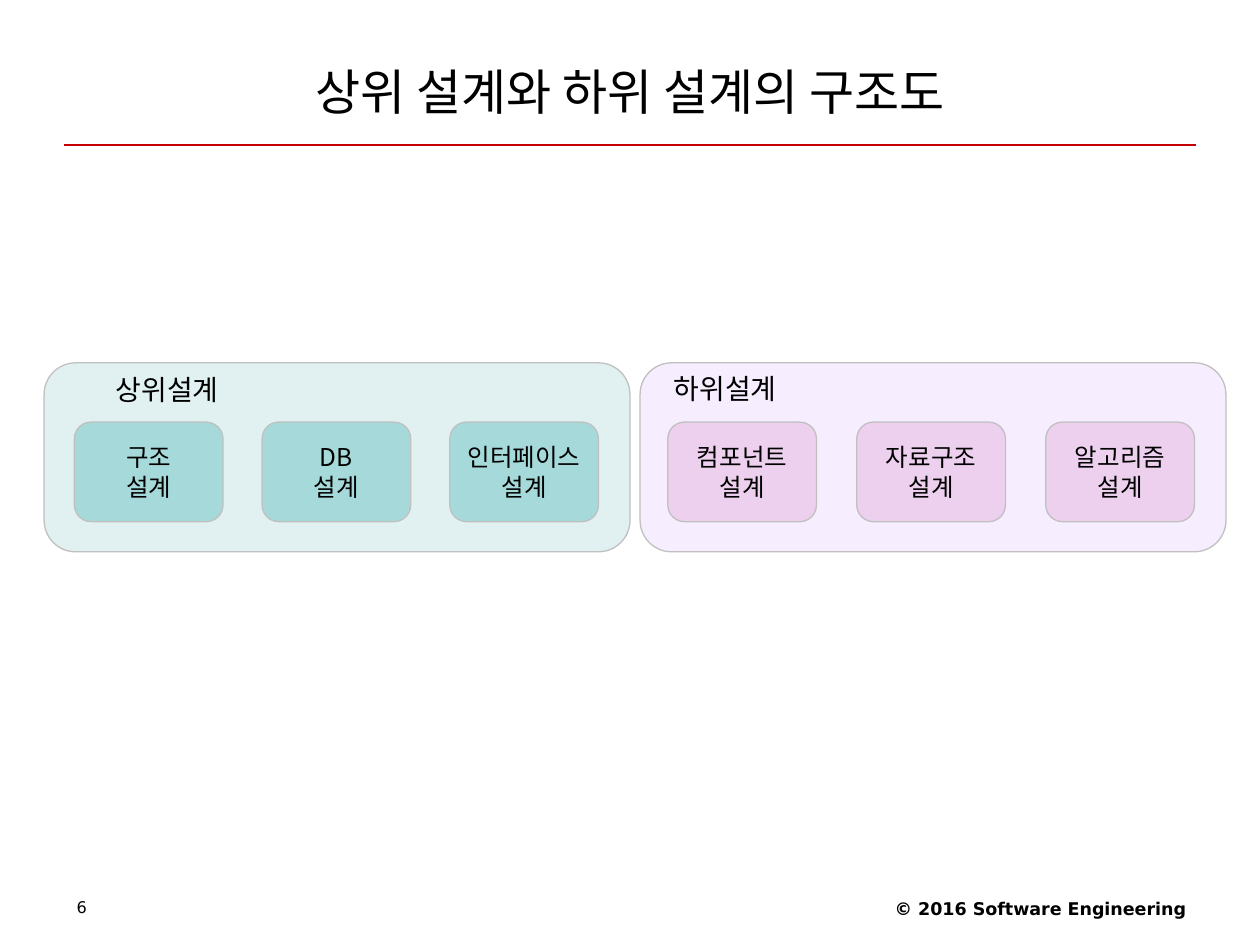
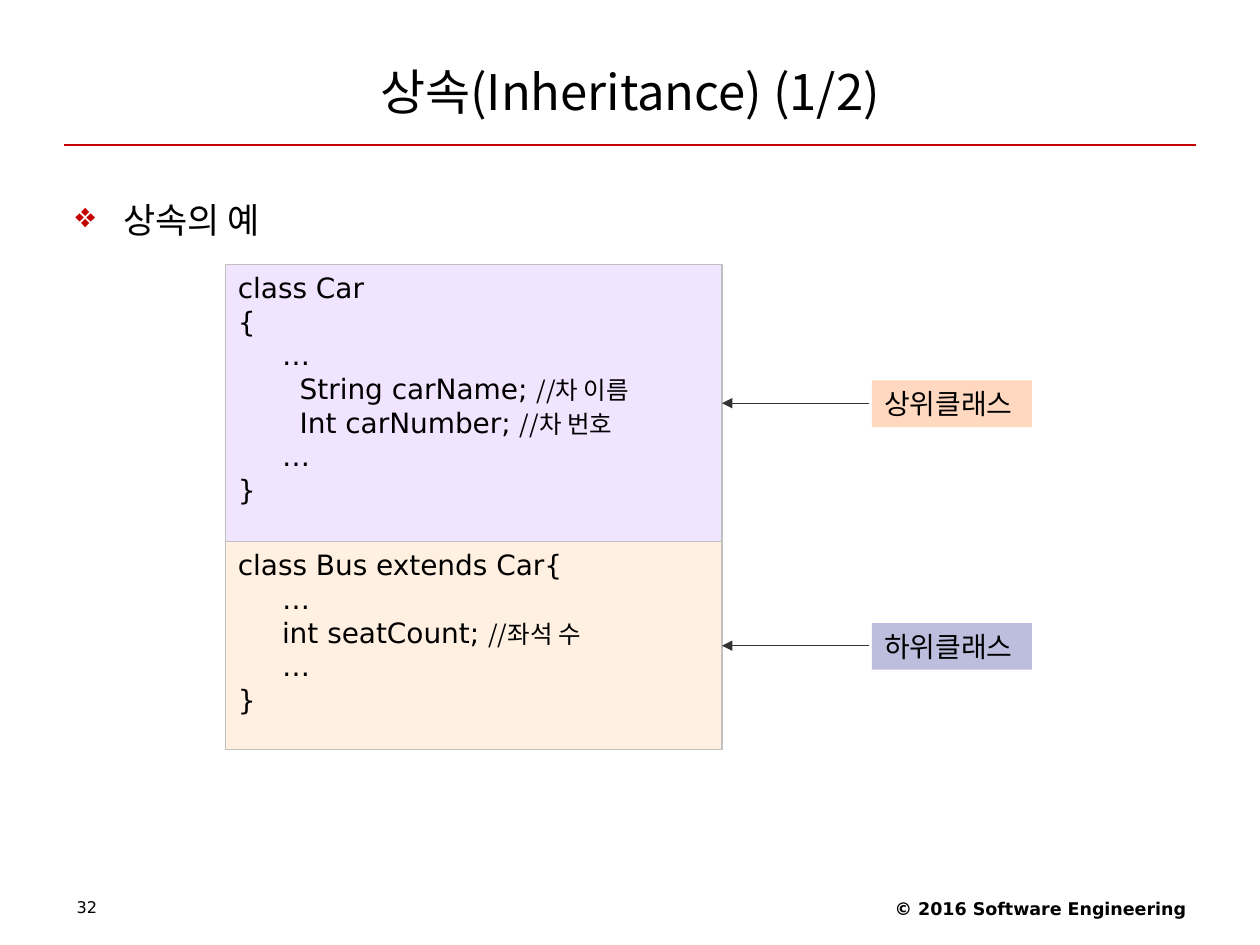
"""Builds two software engineering lecture slides."""
from lxml import etree
from pptx import Presentation
from pptx import util as u
from pptx.dml.color import RGBColor
from pptx.enum import shapes, text
from pptx.oxml.ns import qn

KOREAN, LATIN = "Noto Sans CJK KR", "DejaVu Sans"
BLACK, RED, GREY, DARK = "000000", "C40000", "C0C0C0", "333333"
RECT, ROUND = shapes.MSO_SHAPE.RECTANGLE, shapes.MSO_SHAPE.ROUNDED_RECTANGLE
LEFT, CENTER, RIGHT = text.PP_ALIGN.LEFT, text.PP_ALIGN.CENTER, text.PP_ALIGN.RIGHT
TOP, MIDDLE = text.MSO_ANCHOR.TOP, text.MSO_ANCHOR.MIDDLE


def rgb(color):
    return RGBColor.from_string(color)


def sub(parent, tag, **attrs):
    return etree.SubElement(parent, qn(tag), attrs)


class Deck:
    def __init__(self):
        self.prs = Presentation()
        self.prs.slide_width, self.prs.slide_height = u.Inches(10), u.Inches(7.5)
        self.s = None

    def font(self, f, size, name=KOREAN, bold=False):
        f.size, f.name, f.bold = u.Pt(size), name, bold
        f.color.rgb = rgb(BLACK)
        sub(f._element, "a:ea", typeface=KOREAN)

    def set_text(self, tf, lines, size, name=KOREAN, align=LEFT, anchor=TOP, bold=False):
        tf.word_wrap, tf.vertical_anchor = True, anchor
        for i, line in enumerate(lines):
            p = tf.paragraphs[0] if i == 0 else tf.add_paragraph()
            p.text, p.alignment = line, align
            self.font(p.font, size, name, bold)
        return tf.paragraphs[0]

    def slide(self, title, number):
        self.s = self.prs.slides.add_slide(self.prs.slide_layouts[5])
        sp = self.s.shapes.title
        sp.left, sp.top, sp.width, sp.height = map(u.Inches, (0.5, 0.3, 9, 0.85))
        self.set_text(sp.text_frame, [title], 28, align=CENTER, anchor=MIDDLE)
        self.line((0.51, 1.15), (9.49, 1.15), RED)
        self.label((6.34, 7.08, 3.17, 0.29), "© 2016 Software Engineering", 10, LATIN,
                   align=RIGHT, bold=True)
        self.label((0.51, 7.09, 2.33, 0.28), number, 9.2, LATIN).line_spacing = 0.9

    def label(self, at, words, size, name=KOREAN, **style):
        sp = self.s.shapes.add_textbox(*map(u.Inches, at))
        return self.set_text(sp.text_frame, [words], size, name, **style)

    def bullet(self, at, words):
        p = self.label(at, words, 20)
        p.line_spacing, p.space_before = 1.4, u.Pt(5)
        pPr = p._p.get_or_add_pPr()
        indent = u.Inches(0.38)
        pPr.set("marL", str(indent))
        pPr.set("indent", str(-indent))
        color = etree.Element(qn("a:buClr"))
        sub(color, "a:srgbClr", val=RED)
        char = etree.Element(qn("a:buChar"), char="❖")
        for node in (color, char):
            pPr.find(qn("a:defRPr")).addprevious(node)

    def box(self, kind, at, fill, opacity, outline=GREY):
        sp = self.s.shapes.add_shape(kind, *map(u.Inches, at))
        sp.shadow.inherit = False
        sp.fill.solid()
        sp.fill.fore_color.rgb = rgb(fill)
        color = sp._element.spPr.find(qn("a:solidFill")).find(qn("a:srgbClr"))
        sub(color, "a:alpha", val=str(opacity * 1000))
        if outline:
            sp.line.color.rgb, sp.line.width = rgb(outline), u.Pt(0.75)
        else:
            sp.line.fill.background()
        return sp

    def code(self, at, fill, opacity, lines):
        sp = self.box(RECT, at, fill, opacity)
        tf = sp.text_frame
        self.set_text(tf, [words for _, words, _ in lines], 16, LATIN)
        for p, (indent, _, comment) in zip(tf.paragraphs, lines):
            p._p.get_or_add_pPr().set("marL", str(u.Inches(indent)))
            if comment:
                r = p.add_run()
                r.text = comment
                self.font(r.font, 14)
        return sp

    def line(self, start, end, color, target=None):
        ends = map(u.Inches, (*start, *end))
        c = self.s.shapes.add_connector(shapes.MSO_CONNECTOR.STRAIGHT, *ends)
        c.line.color.rgb, c.line.width = rgb(color), u.Pt(0.75)
        if target:
            c.end_connect(target, 3)
            sub(c._element.spPr.find(qn("a:ln")), "a:tailEnd", type="triangle")
        sub(c._element.spPr, "a:effectLst")

    def panel(self, left, fill, opacity, heading, heading_at, steps, first, pitch, step_fill):
        self.box(ROUND, (left, 2.88, 4.65, 1.5), fill, opacity)
        self.label((*heading_at, 1.05, 0.37), heading, 16)
        for i, step in enumerate(steps):
            sp = self.box(ROUND, (first + i * pitch, 3.35, 1.18, 0.79), *step_fill)
            self.set_text(sp.text_frame, [step, "설계"], 14, align=CENTER, anchor=MIDDLE)

    def class_row(self, top, height, fill, opacity, lines, name, name_fill, name_opacity):
        code = self.code((1.79, top, 3.94, height), fill, opacity, lines)
        middle = top + height / 2
        tag = self.box(RECT, (6.92, middle - 0.18, 1.27, 0.37), name_fill, name_opacity, None)
        self.set_text(tag.text_frame, [name], 16, LATIN)
        self.line((6.9, middle), (5.73, middle), DARK, code)


def main():
    d = Deck()
    d.slide("상위 설계와 하위 설계의 구조도", "6")
    d.panel(0.35, "BBE0E3", 43, "상위설계", (0.82, 2.91),
            ("구조", "DB", "인터페이스"), 0.59, 1.49, ("009999", 26))
    d.panel(5.08, "CC99FF", 17, "하위설계", (5.25, 2.9),
            ("컴포넌트", "자료구조", "알고리즘"), 5.3, 1.5, ("C969B4", 22))

    d.slide("상속(Inheritance) (1/2)", "32")
    d.bullet((0.5, 1.39, 9, 0.6), "상속의 예")
    dots, close = (0.35, "…", ""), (0, "}", "")
    car = [(0, "class Car", ""), (0, "{", ""), dots,
           (0.49, "String carName; ", "//차 이름"),
           (0.49, "Int carNumber; ", "//차 번호"), dots, close]
    bus = [(0, "class Bus extends Car{", ""), dots,
           (0.35, "int seatCount; ", "//좌석 수"), dots, close]
    d.class_row(2.1, 2.2, "CC99FF", 26, car, "상위클래스", "FF6600", 25)
    d.class_row(4.3, 1.65, "FFCC99", 29, bus, "하위클래스", "000080", 26)
    d.prs.save("out.pptx")


if __name__ == "__main__":
    main()
